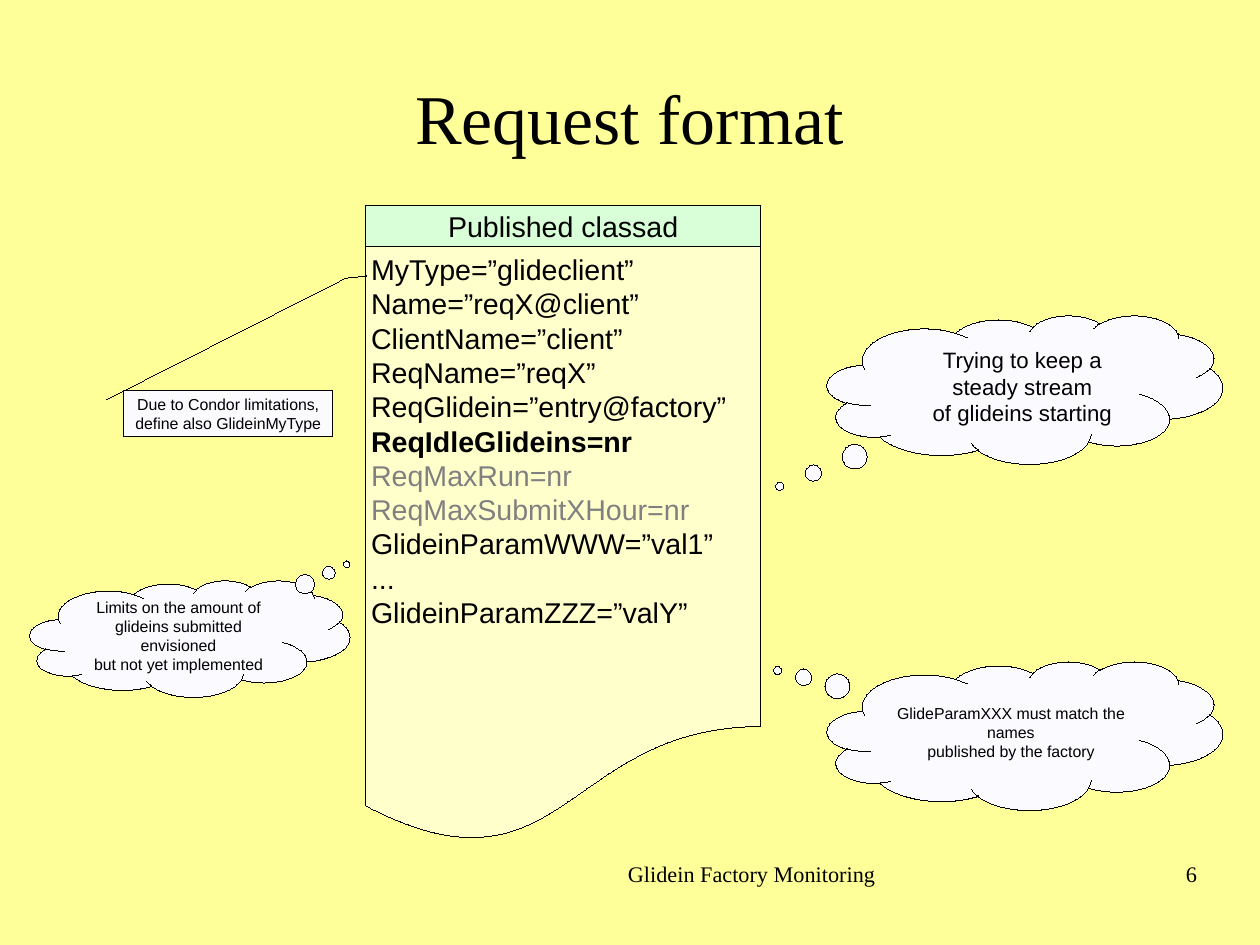
"""Build the "Request format" slide: a classad document with explanatory callouts."""
from pptx import Presentation
from pptx.dml.color import RGBColor
from pptx.enum.shapes import MSO_SHAPE
from pptx.enum.text import MSO_ANCHOR, PP_ALIGN
from pptx.util import Cm, Inches, Pt

DOCUMENT, RECT = MSO_SHAPE.FLOWCHART_DOCUMENT, MSO_SHAPE.RECTANGLE
CLOUD, CALLOUT = MSO_SHAPE.CLOUD_CALLOUT, MSO_SHAPE.LINE_CALLOUT_2
LEFT, CENTER, RIGHT = PP_ALIGN.LEFT, PP_ALIGN.CENTER, PP_ALIGN.RIGHT
TOP, MIDDLE = MSO_ANCHOR.TOP, MSO_ANCHOR.MIDDLE
SANS, SERIF = "Arial", "Times New Roman"
BLACK, GRAY, PALE = "000000", "808080", "FAFAFF"
HAIRLINE = Pt(0.01)

prs = Presentation()
prs.slide_width, prs.slide_height = Cm(28), Cm(21)
s = prs.slides.add_slide(prs.slide_layouts[6])


def rgb(color):
    return RGBColor.from_string(color)


def add_block(kind, box, fill, lines, size, font=SANS, align=CENTER,
              anchor=MIDDLE, insets=(0.1, 0.05), adjustments=()):
    """Add a shape, or a text box when kind is None; box is in percent of the slide."""
    sides = (prs.slide_width, prs.slide_height) * 2
    place = [int(side * share / 100) for side, share in zip(sides, box)]
    if kind is None:
        sp = s.shapes.add_textbox(*place)
    else:
        sp = s.shapes.add_shape(kind, *place)
        sp.shadow.inherit = False
        sp.fill.solid()
        sp.fill.fore_color.rgb = rgb(fill)
        sp.line.color.rgb = rgb(BLACK)
        sp.line.width = HAIRLINE
    for i, value in enumerate(adjustments):
        sp.adjustments[i] = value
    tf = sp.text_frame
    tf.word_wrap = True
    tf.vertical_anchor = anchor
    tf.margin_left = tf.margin_right = Inches(insets[0])
    tf.margin_top = tf.margin_bottom = Inches(insets[1])
    for i, line in enumerate(lines):
        p = tf.add_paragraph() if i else tf.paragraphs[0]
        p.text = line
        p.alignment = align
        p.font.size = Pt(size)
        p.font.name = font
        p.font.color.rgb = rgb(BLACK)
    return tf


s.background.fill.solid()
s.background.fill.fore_color.rgb = rgb("FFFF99")

doc_x, doc_y, doc_w, header_h = 29, 26.08, 31.4, 4.35
cloud_x, cloud_h = 65.65, 15.72
footer_y, footer_h = 91.05, 6.89

add_block(None, (5, 4, 90, 16.7), None, ["Request format"], 44, SERIF, insets=(0, 0))

classad = add_block(DOCUMENT, (doc_x, doc_y, doc_w, 63.36), "FFFFCC", [
    "MyType=”glideclient”",
    "Name=”reqX@client”",
    "ClientName=”client”",
    "ReqName=”reqX”",
    "ReqGlidein=”entry@factory”",
    "ReqIdleGlideins=nr",
    "ReqMaxRun=nr",
    "ReqMaxSubmitXHour=nr",
    "GlideinParamWWW=”val1”",
    "...",
    "GlideinParamZZZ=”valY”",
], 18, align=LEFT, anchor=TOP, insets=(0.05, 0.05))
for p in classad.paragraphs:
    if p.text.startswith("ReqIdle"):
        p.font.bold = True
    elif p.text.startswith("ReqMax"):
        p.font.color.rgb = rgb(GRAY)

add_block(RECT, (doc_x, doc_y - header_h, doc_w, header_h), "D8FFD8",
          ["Published classad"], 18)

add_block(CLOUD, (cloud_x, 70, doc_w, cloud_h), PALE,
          ["GlideParamXXX must match the names\npublished by the factory"], 10,
          adjustments=(-0.625, -0.44))
add_block(CALLOUT, (9.8, 41.35, 16.61, 4.84), PALE,
          ["Due to Condor limitations,", "define also GlideinMyType"], 10,
          adjustments=(0.19, -0.08, -2.46, 1.06, -2.51, 1.16))
stream = add_block(CLOUD, (cloud_x, 33.37, doc_w, cloud_h), PALE,
                   ["Trying to keep a steady stream\nof glideins starting"], 14,
                   adjustments=(-0.62, 0.65))
stream.margin_left = Inches(0.3)
add_block(CLOUD, (2.36, 61.43, 25.41, 12.33), PALE,
          ["Limits on the amount of", "glideins submitted envisioned",
           "but not yet implemented"], 10, adjustments=(0.49, -0.64))

add_block(None, (41.65, footer_y, 36.03, footer_h), None,
          ["Glidein Factory Monitoring"], 14, SERIF, anchor=TOP, insets=(0, 0))
add_block(None, (78.58, footer_y, 16.42, footer_h), None,
          ["6"], 14, SERIF, RIGHT, TOP, (0, 0))

prs.save("out.pptx")
